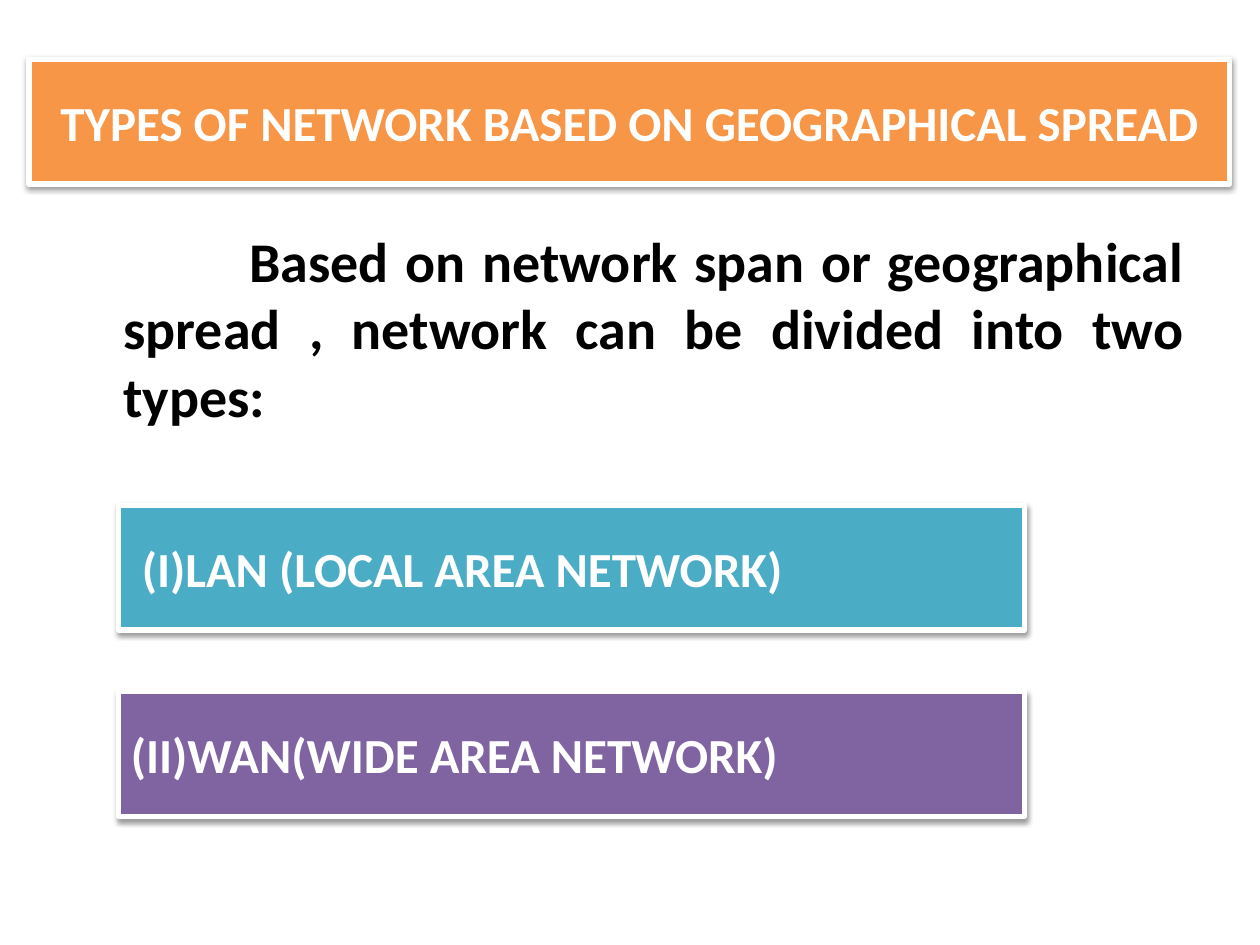
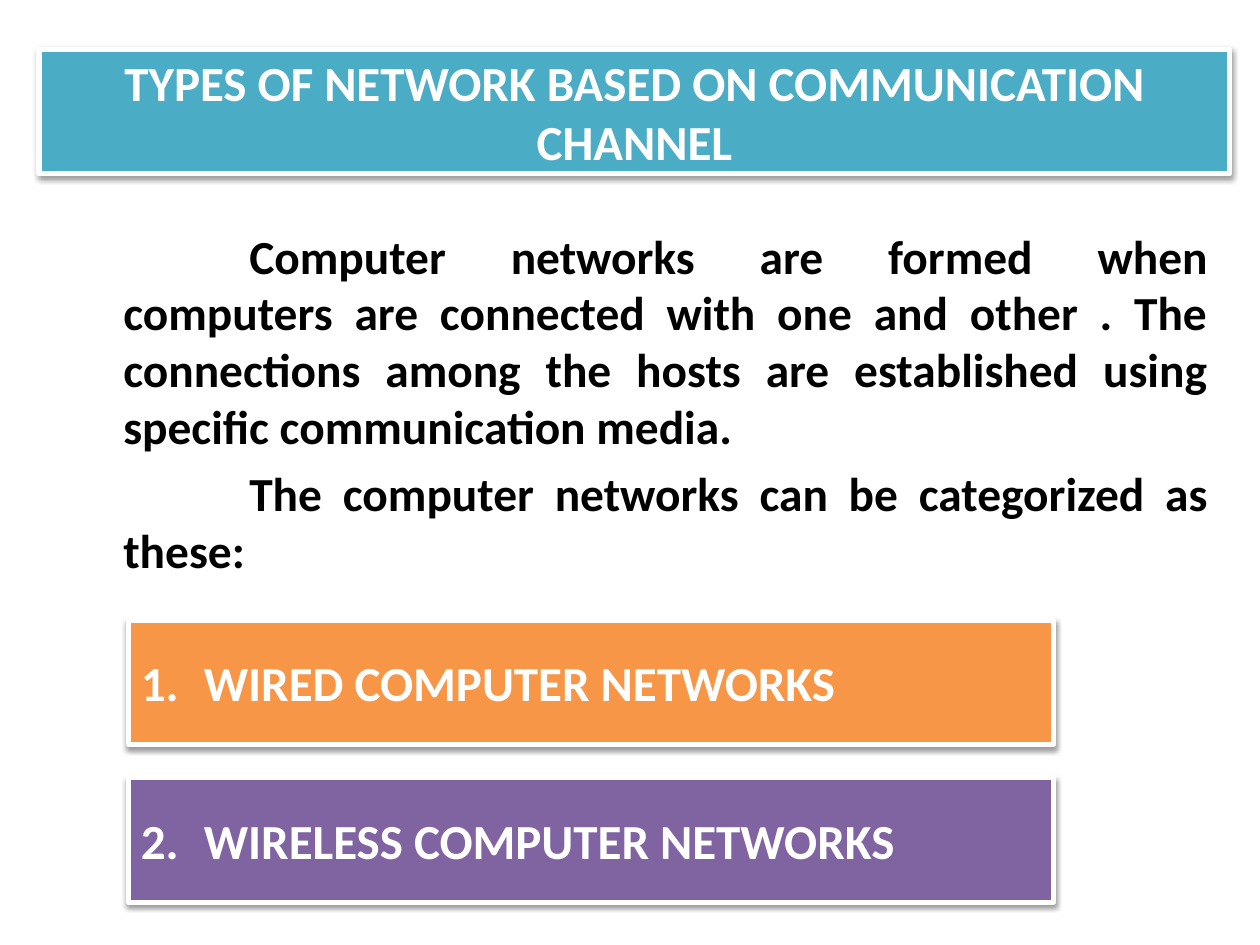
from dataclasses import dataclass

from lxml.etree import SubElement
from pptx import Presentation
from pptx.dml.color import RGBColor
from pptx.enum.shapes import MSO_SHAPE
from pptx.enum.text import MSO_ANCHOR, PP_ALIGN
from pptx.oxml.ns import qn
from pptx.util import Inches, Pt


@dataclass(frozen=True)
class Theme:
    font: str = "Calibri"
    orange: str = "F79646"
    teal: str = "4BACC6"
    purple: str = "8064A2"
    white: str = "FFFFFF"
    black: str = "000000"
    banner_size: float = 28
    border: float = 3
    banner_height: float = 0.99


THEME = Theme()


def add_run(p, text, size, color):
    r = p.add_run()
    r.text = text
    r.font.name = THEME.font
    r.font.size = Pt(size)
    r.font.bold = True
    r.font.color.rgb = RGBColor.from_string(color)


def add_drop_shadow(sp):
    sp.shadow.inherit = False
    effects = sp._element.spPr.find(qn("a:effectLst"))
    shadow = SubElement(effects, qn("a:outerShdw"), blurRad=str(Pt(3.1)),
                        dist=str(Pt(1.6)), dir="5400000", rotWithShape="0")
    color = SubElement(shadow, qn("a:srgbClr"), val=THEME.black)
    SubElement(color, qn("a:alpha"), val="38000")


def add_banner(s, left, top, width, fill, text, align):
    sp = s.shapes.add_shape(MSO_SHAPE.RECTANGLE, Inches(left), Inches(top),
                            Inches(width), Inches(THEME.banner_height))
    sp.fill.solid()
    sp.fill.fore_color.rgb = RGBColor.from_string(fill)
    sp.line.color.rgb = RGBColor.from_string(THEME.white)
    sp.line.width = Pt(THEME.border)
    add_drop_shadow(sp)
    tf = sp.text_frame
    tf.word_wrap = True
    tf.vertical_anchor = MSO_ANCHOR.MIDDLE
    p = tf.paragraphs[0]
    p.alignment = align
    add_run(p, text, THEME.banner_size, THEME.white)


def add_title(s, left, top, width, fill, text):
    add_banner(s, left, top, width, fill, text, PP_ALIGN.CENTER)


def add_types(s, left, top, width, step, types, align):
    """Stack one banner per (fill, text) pair, a fixed step apart."""
    for i, (fill, text) in enumerate(types):
        add_banner(s, left, top + i * step, width, fill, text, align)


def add_body(s, width, height, size, paragraphs):
    """Justified paragraphs, each with an indented first line."""
    box = s.shapes.add_textbox(Inches(0.5), Inches(1.75), Inches(width), Inches(height))
    tf = box.text_frame
    tf.word_wrap = True
    for i, text in enumerate(paragraphs):
        p = tf.add_paragraph() if i else tf.paragraphs[0]
        p.alignment = PP_ALIGN.JUSTIFY
        p.space_before = Pt(size * 0.2)
        pPr = p._p.get_or_add_pPr()
        pPr.set("marL", str(Inches(0.38)))
        pPr.set("indent", str(Inches(1)))
        add_run(p, text, size, THEME.black)


def build_geographical_spread(s):
    add_body(s, 9, 2.08, 32, [
        "Based on network span or geographical spread , "
        "network can be divided into two types:",
    ])
    add_title(s, 0.23, 0.47, 9.53, THEME.orange,
              "TYPES OF NETWORK BASED ON GEOGRAPHICAL SPREAD")
    add_types(s, 0.94, 4.01, 7.19, 1.48, [
        (THEME.teal, " (I)LAN (LOCAL AREA NETWORK)"),
        (THEME.purple, "(II)WAN(WIDE AREA NETWORK)"),
    ], PP_ALIGN.JUSTIFY)


def build_communication_channel(s):
    add_body(s, 9.19, 3.33, 27.1, [
        "Computer networks are formed when computers are connected with one "
        "and other . The connections among the hosts are established using "
        "specific communication media.",
        "The computer networks can be categorized as these:",
    ])
    add_title(s, 0.31, 0.39, 9.45, THEME.teal,
              "TYPES OF NETWORK BASED ON COMMUNICATION CHANNEL")
    add_types(s, 1.02, 4.92, 7.34, 1.25, [
        (THEME.orange, "1.\tWIRED COMPUTER NETWORKS"),
        (THEME.purple, "2.\tWIRELESS COMPUTER NETWORKS"),
    ], PP_ALIGN.LEFT)


def main():
    prs = Presentation()
    prs.slide_width = Inches(10)
    prs.slide_height = Inches(7.5)
    for build in (build_geographical_spread, build_communication_channel):
        build(prs.slides.add_slide(prs.slide_layouts[6]))
    prs.save("out.pptx")


if __name__ == "__main__":
    main()
